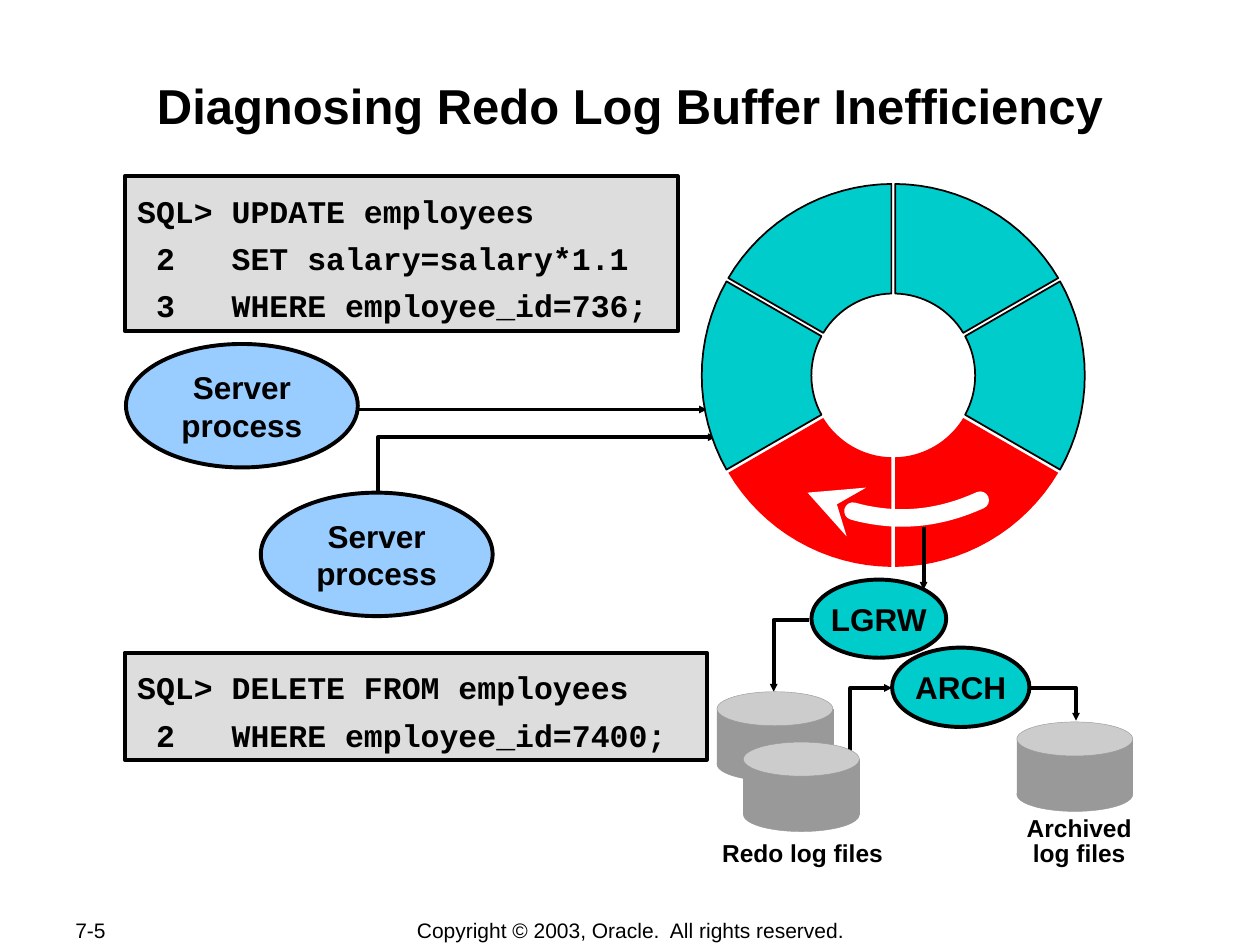
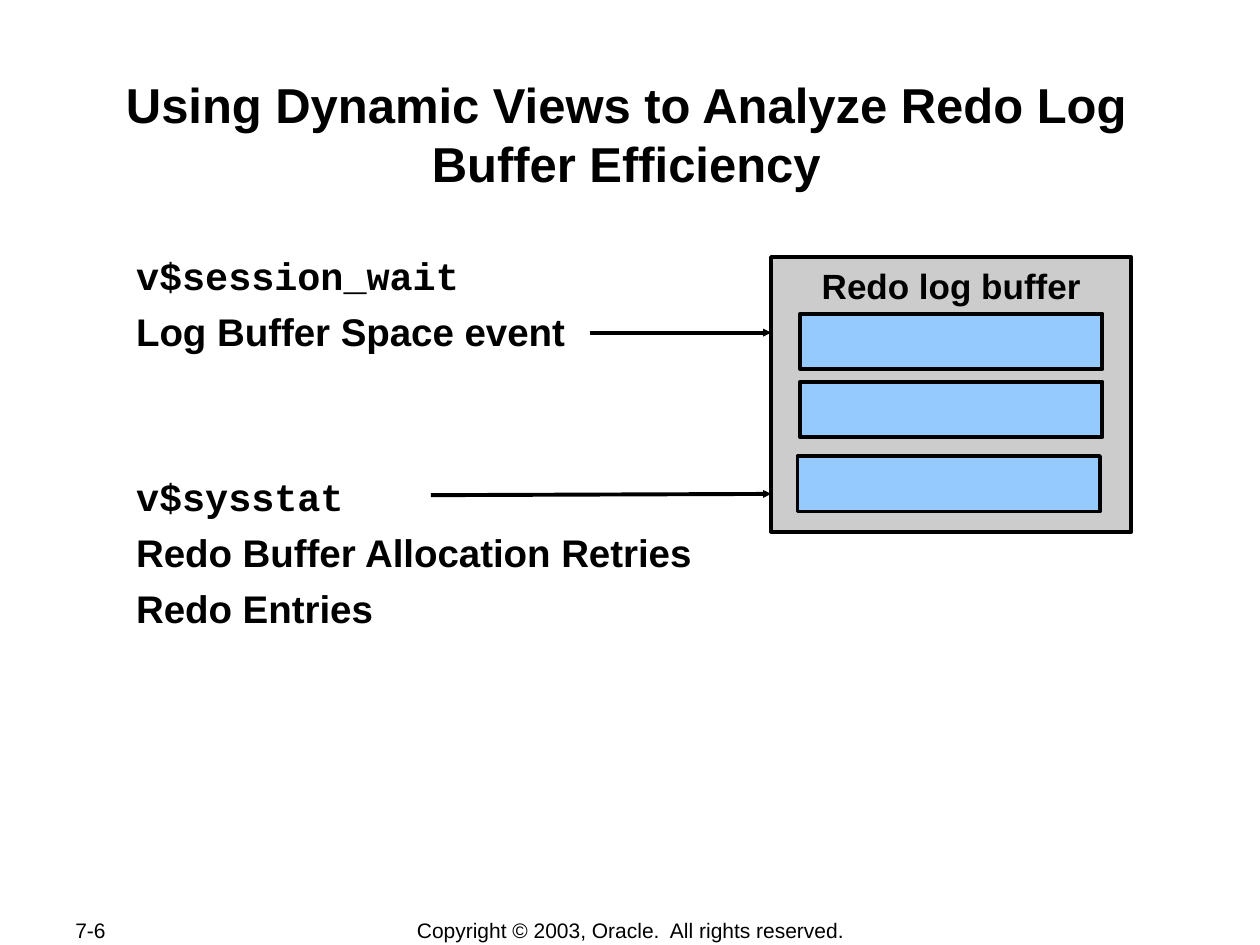
from math import asin, cos, radians, sin

from lxml import etree
from pptx import Presentation, util as u
from pptx.dml.color import RGBColor
from pptx.enum import shapes as sh, text as tx
from pptx.oxml.ns import qn

CELL = u.Inches(0.1)  # the slide is a grid of 100 columns by 75 rows
SANS, MONO = "Arial", "Courier New"
HUES = {
    "ink": "000000", "paper": "FFFFFF", "code": "DDDDDD", "server": "99CCFF",
    "teal": "00CCCC", "used": "FF0000", "disk": "999999", "lid": "CCCCCC",
    "panel": "CCCCCC", "slot": "95CAFF",
}
CENTER, LEFT = tx.PP_ALIGN.CENTER, tx.PP_ALIGN.LEFT
TOP, MIDDLE = tx.MSO_ANCHOR.TOP, tx.MSO_ANCHOR.MIDDLE
RECT, OVAL = sh.MSO_SHAPE.RECTANGLE, sh.MSO_SHAPE.OVAL


def cells(*nums):
    return [round(n * CELL) for n in nums]


def hue(name):
    return RGBColor.from_string(HUES[name])


def style(para, size, font=SANS, bold=True, align=CENTER, lead=1.0):
    para.alignment = align
    para.line_spacing = lead
    para.font.size = u.Pt(size)
    para.font.name = font
    para.font.bold = bold
    para.font.color.rgb = hue("ink")


def write(shape, paras, size, anchor=TOP, wrap=True, inset=(1, 0.5), **look):
    """Fill a shape with paragraphs of one look; a newline breaks a line."""
    frame = shape.text_frame
    frame.word_wrap = wrap
    frame.vertical_anchor = anchor
    frame.margin_left = frame.margin_right = cells(inset[0])[0]
    frame.margin_top = frame.margin_bottom = cells(inset[1])[0]
    for i, words in enumerate(paras):
        para = frame.add_paragraph() if i else frame.paragraphs[0]
        para.text = words
        style(para, size, **look)
    return frame


def paint(shape, fill=None, line=None, width=2.25):
    shape.shadow.inherit = False
    if fill:
        shape.fill.solid()
        shape.fill.fore_color.rgb = hue(fill)
    else:
        shape.fill.background()
    if line:
        shape.line.color.rgb = hue(line)
        shape.line.width = u.Pt(width)
    else:
        shape.line.fill.background()
    return shape


def block(page, kind, area, fill, line="ink", width=2.25):
    return paint(page.shapes.add_shape(kind, *cells(*area)), fill, line, width)


def label(page, area, paras, size, **look):
    return write(page.shapes.add_textbox(*cells(*area)), paras, size, **look)


def tip(shape, kind="triangle", size="sm"):
    """Put an arrowhead at the end of a line."""
    line = shape.line._get_or_add_ln()
    etree.SubElement(line, qn("a:tailEnd"), type=kind, w=size, len=size)


def trace(page, points, close):
    first, *rest = [cells(*p) for p in points]
    pen = page.shapes.build_freeform(*first, scale=1.0)
    pen.add_line_segments(rest, close=close)
    return pen.convert_to_shape()


def arrow(page, *points):
    """Draw a straight arrow through two points, a bent one through more."""
    if len(points) == 2:
        line = page.shapes.add_connector(
            sh.MSO_CONNECTOR.STRAIGHT, *cells(*points[0], *points[1]))
        line.line.color.rgb = hue("ink")
        line.line.width = u.Pt(2.25)
        etree.SubElement(line._element.spPr, qn("a:effectLst"))
    else:
        line = paint(trace(page, points, False), line="ink")
    tip(line)


def ring(page, mid, inner, outer, fills, gap=0.15, steps=16):
    """Draw equal sectors clockwise from the top, parted by even gaps."""
    span = 360 / len(fills)

    def arc(radius, start):
        trim = asin(gap / radius)
        low, high = radians(start) + trim, radians(start + span) - trim
        turns = [low + (high - low) * i / steps for i in range(steps + 1)]
        return [(mid[0] + radius * sin(t), mid[1] - radius * cos(t))
                for t in turns]

    for i, fill in enumerate(fills):
        rim = arc(outer, i * span) + arc(inner, i * span)[::-1]
        edge = "ink" if fill == "teal" else None
        paint(trace(page, rim, True), fill, edge, 1)


def sweep(page, start, bend, end, steps=24):
    """Draw the thick curved arrow that shows the writing direction."""
    points = []
    for i in range(steps + 1):
        t = i / steps
        points.append([(1 - t) ** 2 * a + 2 * t * (1 - t) * b + t * t * c
                       for a, b, c in zip(start, bend, end)])
    curve = paint(trace(page, points, False), line="paper", width=10)
    curve.line._get_or_add_ln().set("cap", "rnd")
    etree.SubElement(curve.line._get_or_add_ln(), qn("a:round"))
    tip(curve, "stealth", "med")


def disk(page, left, top):
    group = page.shapes.add_group_shape()
    for kind, drop, high, fill in ((RECT, 1.4, 4.3, "disk"),
                                   (OVAL, 0, 2.7, "lid"),
                                   (OVAL, 4.4, 2.7, "disk")):
        part = group.shapes.add_shape(kind, *cells(left, top + drop, 9.2, high))
        paint(part, fill, "disk", 0.25)


def code(page, area, lines):
    write(block(page, RECT, area, "code"), lines, 18,
          font=MONO, align=LEFT, lead=1.25)


def oval(page, area, words, fill):
    write(block(page, OVAL, area, fill), [words], 18,
          anchor=MIDDLE, wrap=False)


def start(deck, title, area, inset, number):
    """Add a slide with its title, page number and copyright line."""
    page = deck.slides.add_slide(deck.slide_layouts[5])
    head = page.shapes.title
    head.left, head.top, head.width, head.height = cells(*area)
    frame = write(head, [title], 28, inset=inset)
    frame.auto_size = tx.MSO_AUTO_SIZE.NONE
    foot = dict(anchor=MIDDLE, bold=False)
    label(page, (5, 72.8, 10.6, 2), [number], 12, align=LEFT, **foot)
    label(page, (27.6, 72.8, 44.9, 2),
          ["Copyright © 2003, Oracle.  All rights reserved."], 12, **foot)
    return page


def diagnose(deck):
    page = start(deck, "Diagnosing Redo Log Buffer Inefficiency",
                 (9.2, 5.5, 81.6, 6.9), (1, 0.5), "7-5")
    arrow(page, (23.2, 32.5), (56.1, 32.5))
    arrow(page, (30, 40), (30, 34.7), (56.8, 34.7))
    for area, words in (((77.4, 64.4, 16.5, 4.9), "Archived\nlog files"),
                        ((54.2, 66.4, 19, 2.9), "Redo log files")):
        label(page, area, [words], 14, lead=0.85)

    code(page, (9.9, 14, 43.9, 12.3),
         ["SQL> UPDATE employees",
          " 2   SET salary=salary*1.1",
          " 3   WHERE employee_id=736;"])
    code(page, (9.9, 51.8, 46.2, 8.5),
         ["SQL> DELETE FROM employees",
          " 2   WHERE employee_id=7400;"])
    for left, top in ((10, 27.3), (20.7, 39.1)):
        oval(page, (left, top, 18.4, 9.8), "Server\nprocess", "server")

    oval(page, (64.4, 46, 10.7, 6.2), "LGRW", "teal")
    oval(page, (70.8, 51.4, 10.9, 6.3), "ARCH", "teal")
    ring(page, (70.9, 29.8), 6.5, 15.2,
         ["teal"] * 2 + ["used"] * 2 + ["teal"] * 2)
    sweep(page, (77.8, 39.7), (71, 42.8), (64.1, 39.1))

    arrow(page, (81.7, 54.6), (85.4, 54.6), (85.4, 57.2))
    arrow(page, (67.5, 61.1), (67.5, 54.6), (70.8, 54.6))
    arrow(page, (64.2, 49.2), (61.4, 49.2), (61.4, 54.9))
    arrow(page, (73.3, 41.8), (73.3, 46.8))
    for left, top in ((56.9, 54.9), (59, 58.9), (80.7, 57.3)):
        disk(page, left, top)


def views(deck):
    page = start(deck,
                 "Using Dynamic Views to Analyze Redo Log Buffer Efficiency",
                 (9.7, 5.8, 80, 9.6), (0.1, 0.1), "7-6")
    body = label(page, (9.4, 19.9, 50, 30.2),
                 ["v$session_wait", "Log Buffer Space event", "v$sysstat",
                  "Redo Buffer Allocation Retries", "Redo Entries"],
                 22, align=LEFT, inset=(1.4, 0.1))
    for para in body.paragraphs[1:]:
        para.space_before = u.Pt(5.5)
    for para in body.paragraphs:
        if para.text.startswith("v$"):
            para.font.name = MONO
    body.paragraphs[2].space_before = u.Pt(68)

    panel = block(page, RECT, (61.2, 20.4, 28.6, 21.8), "panel")
    write(panel, ["Redo log buffer"], 20, wrap=False, inset=(1.1, 0.6))
    for left, top in ((63.5, 24.9), (63.5, 30.3), (63.3, 36.2)):
        block(page, RECT, (left, top, 24, 4.4), "slot")
    arrow(page, (34.2, 39.3), (61.2, 39.2))
    arrow(page, (46.8, 26.4), (61.2, 26.4))


def main():
    deck = Presentation()
    deck.slide_width, deck.slide_height = cells(100, 75)
    diagnose(deck)
    views(deck)
    deck.save("out.pptx")


if __name__ == "__main__":
    main()
